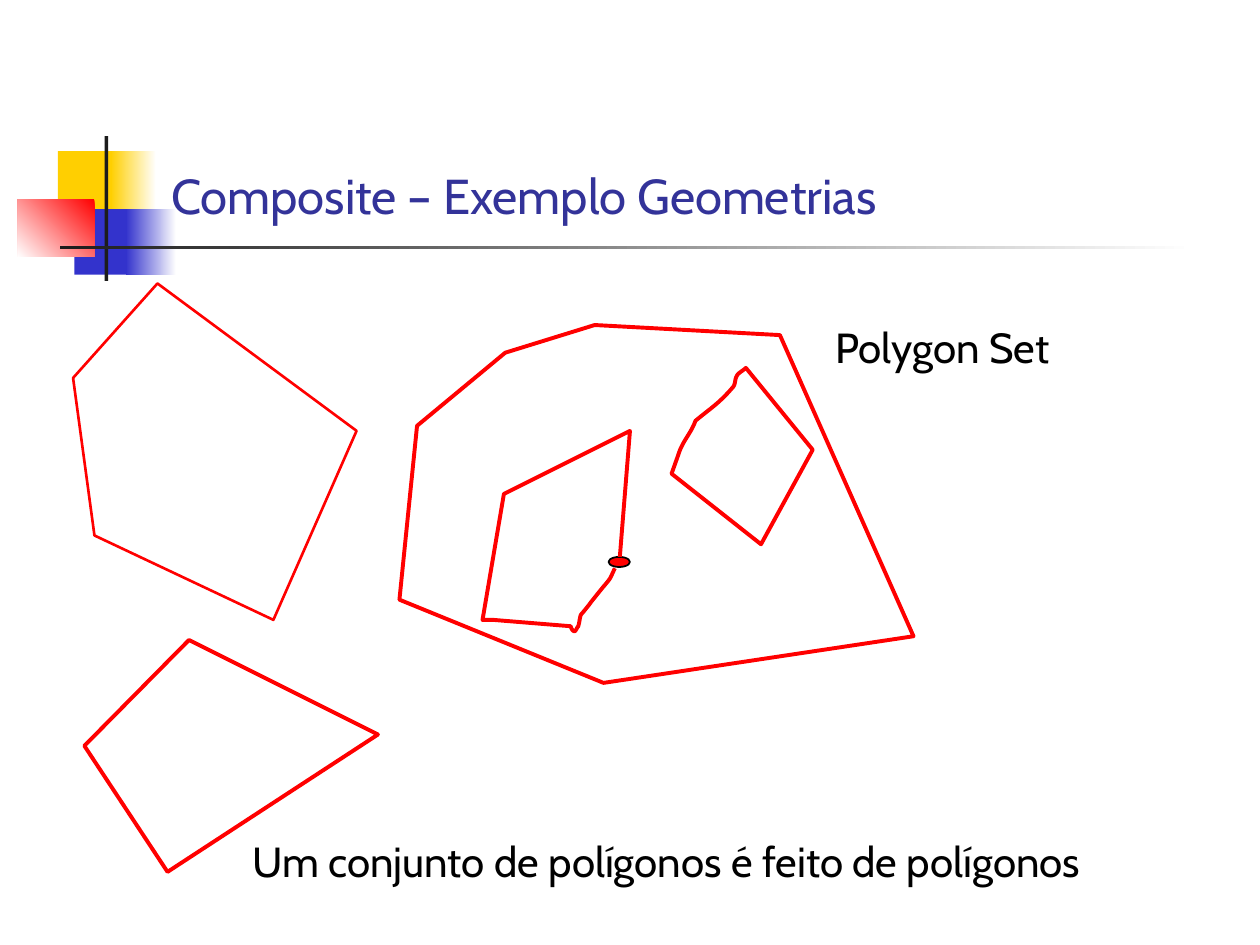
import pptx
import pptx.dml.color
import pptx.enum.shapes
import pptx.enum.text
import pptx.util

PX = 9144
FONT = "Cabin"
COLORS = {
    "yellow": "FFCF01", "blue": "3333CC", "red": "FF0000", "white": "FFFFFF",
    "dark": "1C1C1C", "title": "333399", "text": "000000",
}
SHAPES = pptx.enum.shapes.MSO_SHAPE
ALIGN = pptx.enum.text.PP_ALIGN
ANCHOR = pptx.enum.text.MSO_ANCHOR
AUTO_SIZE = pptx.enum.text.MSO_AUTO_SIZE

EMBLEM = [
    ((32, 12, 48, 52), ("yellow",), 0),
    ((74, 12, 36, 52), ("white", "yellow"), 180),
    ((45, 58, 46, 52), ("blue",), 0),
    ((86, 58, 40, 52), ("white", "blue"), 180),
    ((0, 50, 61, 46), ("red", "white"), 225),
    ((69, 0, 3, 115), ("dark",), 0),
    ((34, 87, 900, 3), ("white", "dark"), 180),
]

# fmt: off
LEFT_HOLE = [
    (105, 109), (99, 122, 104, 113, 86, 136), (84, 139, 78, 146, 78, 146),
    (77, 149, 77, 152, 76, 155), (75, 156, 74, 159, 73, 159),
    (71, 159, 70, 155, 70, 155), (9, 150), (0, 150), (17, 50), (117, 0), (109, 100),
]
RIGHT_HOLE = [
    (59, 0), (57, 2, 53, 4, 52, 6), (50, 9, 51, 12, 49, 15),
    (38, 28, 31, 32, 19, 42), (16, 51, 9, 58, 6, 67),
    (4, 73, 0, 84, 0, 84), (71, 140), (112, 65),
]
OUTER = [(84, 22), (14, 80), (0, 218), (162, 284), (408, 247), (302, 8), (155, 0)]
PENTAGON = [(67, 0), (0, 75), (17, 200), (159, 267), (225, 117)]
QUADRILATERAL = [(83, 0), (0, 84), (66, 184), (233, 75)]
# fmt: on

POLYGONS = [
    ((383, 342), LEFT_HOLE, False, 2.25),
    ((317, 258), OUTER, True, 2.25),
    ((533, 292), RIGHT_HOLE, True, 2.25),
    ((58, 225), PENTAGON, True, 1.5),
    ((67, 508), QUADRILATERAL, True, 2.25),
]


def rgb(name):
    return pptx.dml.color.RGBColor.from_string(COLORS[name])


def emu(lengths):
    return [length * PX for length in lengths]


def apply(target, values):
    for name, value in values.items():
        setattr(target, name, value)


def paint(fill, names, angle=0):
    if len(names) == 1:
        fill.solid()
        fill.fore_color.rgb = rgb(names[0])
        return
    fill.gradient()
    fill.gradient_angle = angle
    for stop, name in zip(fill.gradient_stops, names):
        stop.color.rgb = rgb(name)


def add_emblem(slide, left, top):
    for (x, y, width, height), names, angle in EMBLEM:
        shape = slide.shapes.add_shape(
            SHAPES.RECTANGLE, *emu((left + x, top + y, width, height)))
        shape.shadow.inherit = False
        paint(shape.fill, names, angle)
        shape.line.fill.background()


def write_text(shape, text, size, color, alignment, frame_values):
    frame = shape.text_frame
    apply(frame, frame_values)
    paragraph = frame.paragraphs[0]
    paragraph.text = text
    paragraph.alignment = alignment
    apply(paragraph.runs[0].font, {"name": FONT, "size": pptx.util.Pt(size)})
    paragraph.runs[0].font.color.rgb = rgb(color)


def add_title(slide, text, box):
    title = slide.shapes.title
    apply(title, dict(zip(("left", "top", "width", "height"), emu(box))))
    write_text(title, text, 28, "title", ALIGN.LEFT,
               {"vertical_anchor": ANCHOR.BOTTOM, "word_wrap": True,
                "auto_size": AUTO_SIZE.NONE})
    title.element.getparent().append(title.element)


def add_label(slide, text, box, alignment, wrap):
    label = slide.shapes.add_textbox(*emu(box))
    write_text(label, text, 24, "text", alignment,
               {"word_wrap": wrap, "auto_size": AUTO_SIZE.SHAPE_TO_FIT_TEXT})


def flatten(outline, steps=8):
    points = []
    for part in outline:
        if len(part) == 2:
            points.append(part)
            continue
        controls = [points[-1], part[:2], part[2:4], part[4:]]
        for step in range(1, steps + 1):
            t = step / steps
            weights = ((1 - t) ** 3, 3 * t * (1 - t) ** 2, 3 * t * t * (1 - t), t ** 3)
            points.append(tuple(
                sum(weight * point[axis] for weight, point in zip(weights, controls))
                for axis in (0, 1)))
    return points


def add_polygon(slide, origin, outline, closed, width):
    left, top = origin
    points = [emu((left + x, top + y)) for x, y in flatten(outline)]
    builder = slide.shapes.build_freeform(*points[0])
    builder.add_line_segments(points[1:], close=closed)
    polygon = builder.convert_to_shape()
    polygon.shadow.inherit = False
    polygon.fill.background()
    polygon.line.color.rgb = rgb("red")
    polygon.line.width = pptx.util.Pt(width)


def add_vertex(slide, box):
    vertex = slide.shapes.add_shape(SHAPES.OVAL, *emu(box))
    vertex.shadow.inherit = False
    paint(vertex.fill, ("red",))
    vertex.line.color.rgb = rgb("text")
    vertex.line.width = pptx.util.Pt(1)


def main():
    presentation = pptx.Presentation()
    apply(presentation, {"slide_width": 1000 * PX, "slide_height": 750 * PX})
    slide = presentation.slides.add_slide(presentation.slide_layouts[5])
    add_emblem(slide, 14, 108)
    add_title(slide, "Composite – Exemplo Geometrias", (126, 23, 852, 160))
    add_vertex(slide, (483, 442, 17, 8))
    add_label(slide, "Polygon Set", (653, 250, 205, 50), ALIGN.LEFT, False)
    add_label(slide, "Um conjunto de polígonos é feito de polígonos",
              (150, 658, 758, 50), ALIGN.CENTER, True)
    for polygon in POLYGONS:
        add_polygon(slide, *polygon)
    presentation.save("out.pptx")


if __name__ == "__main__":
    main()
